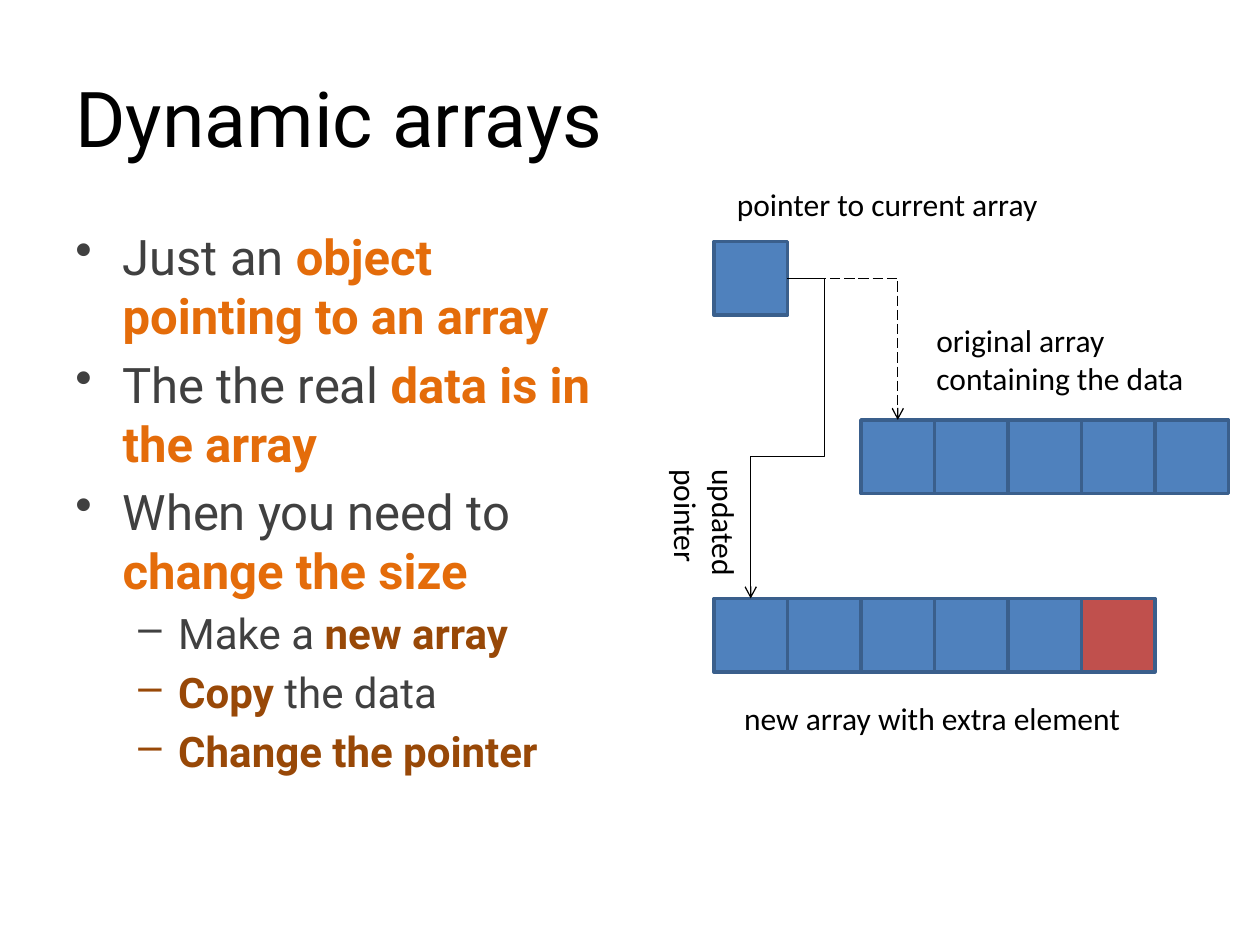
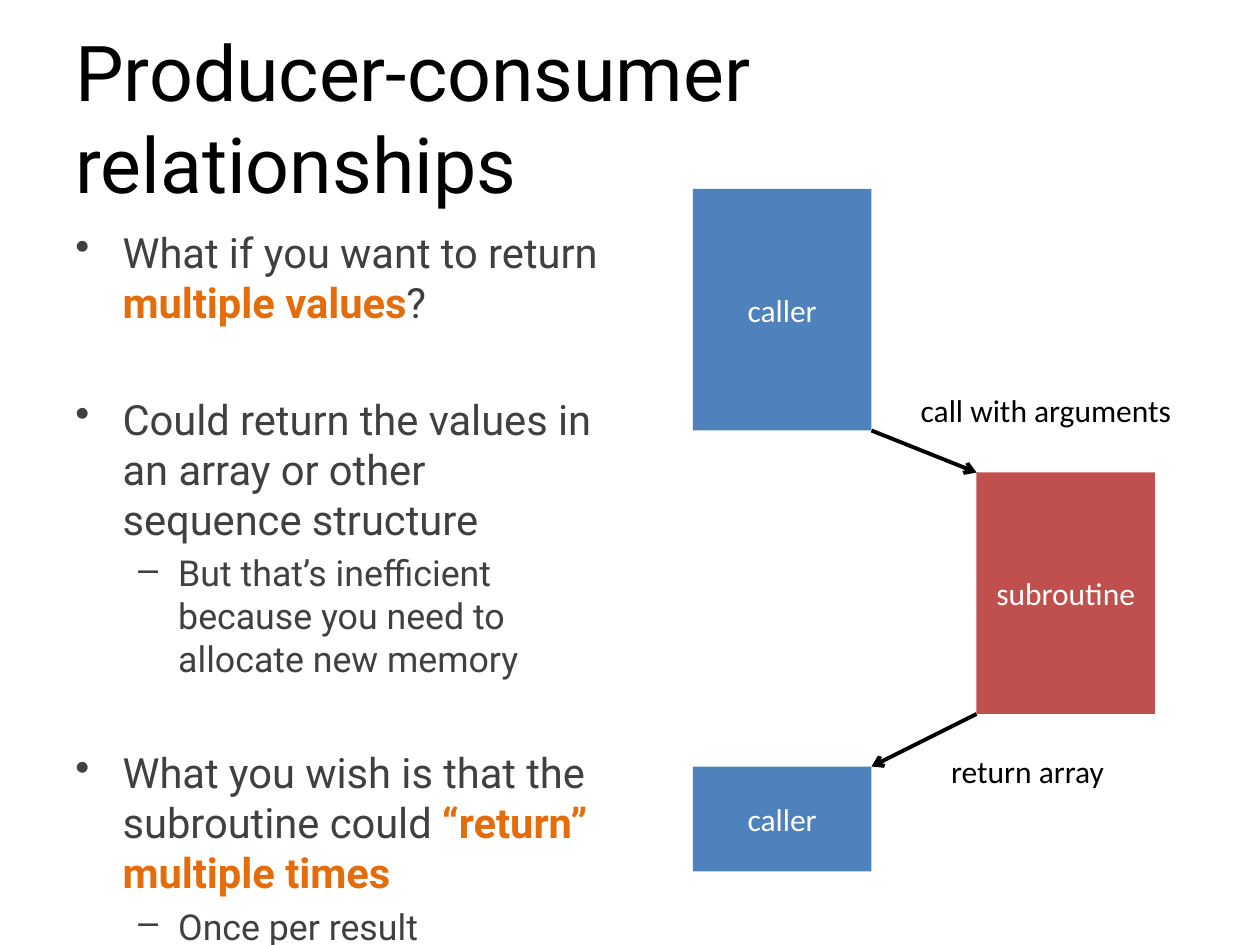
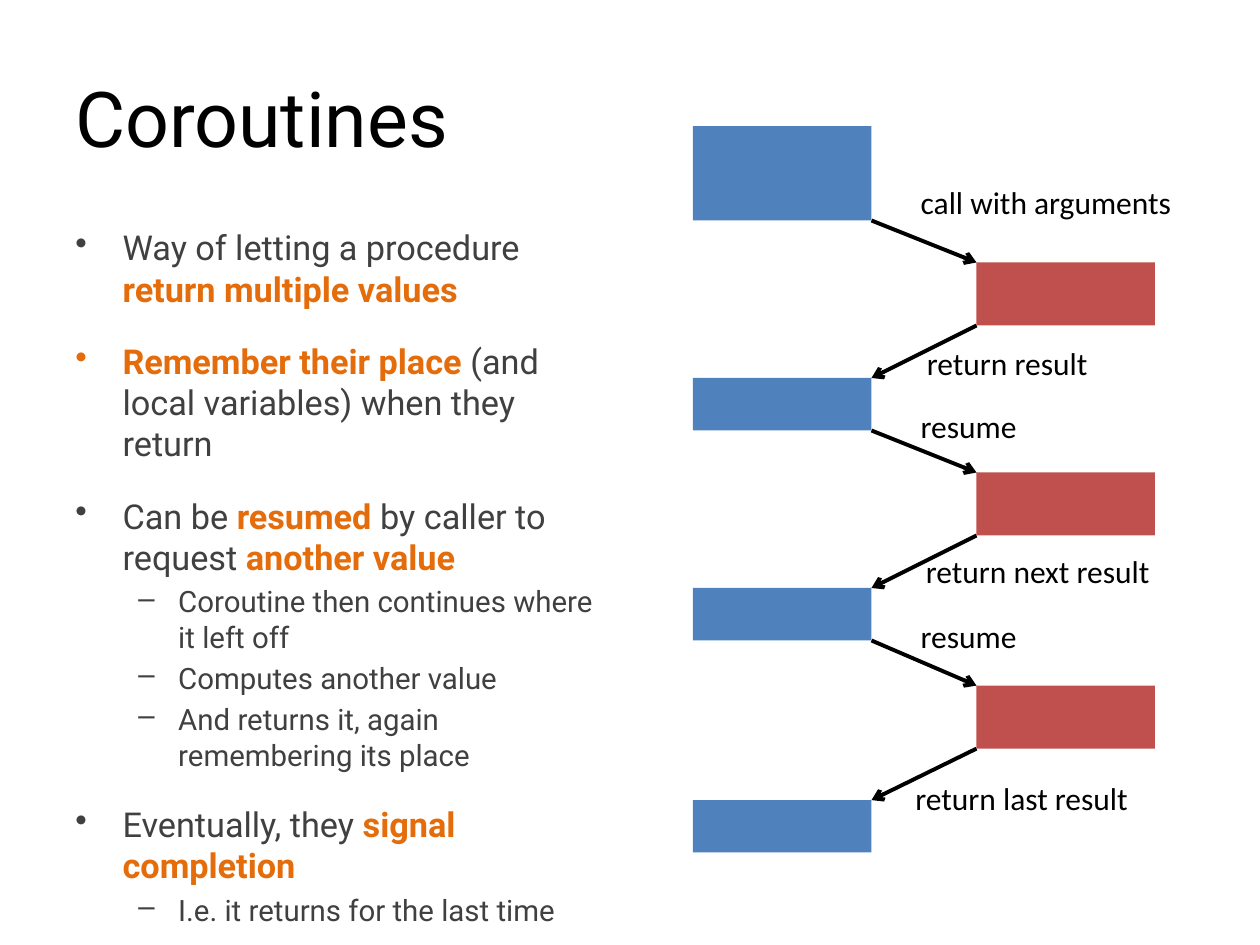
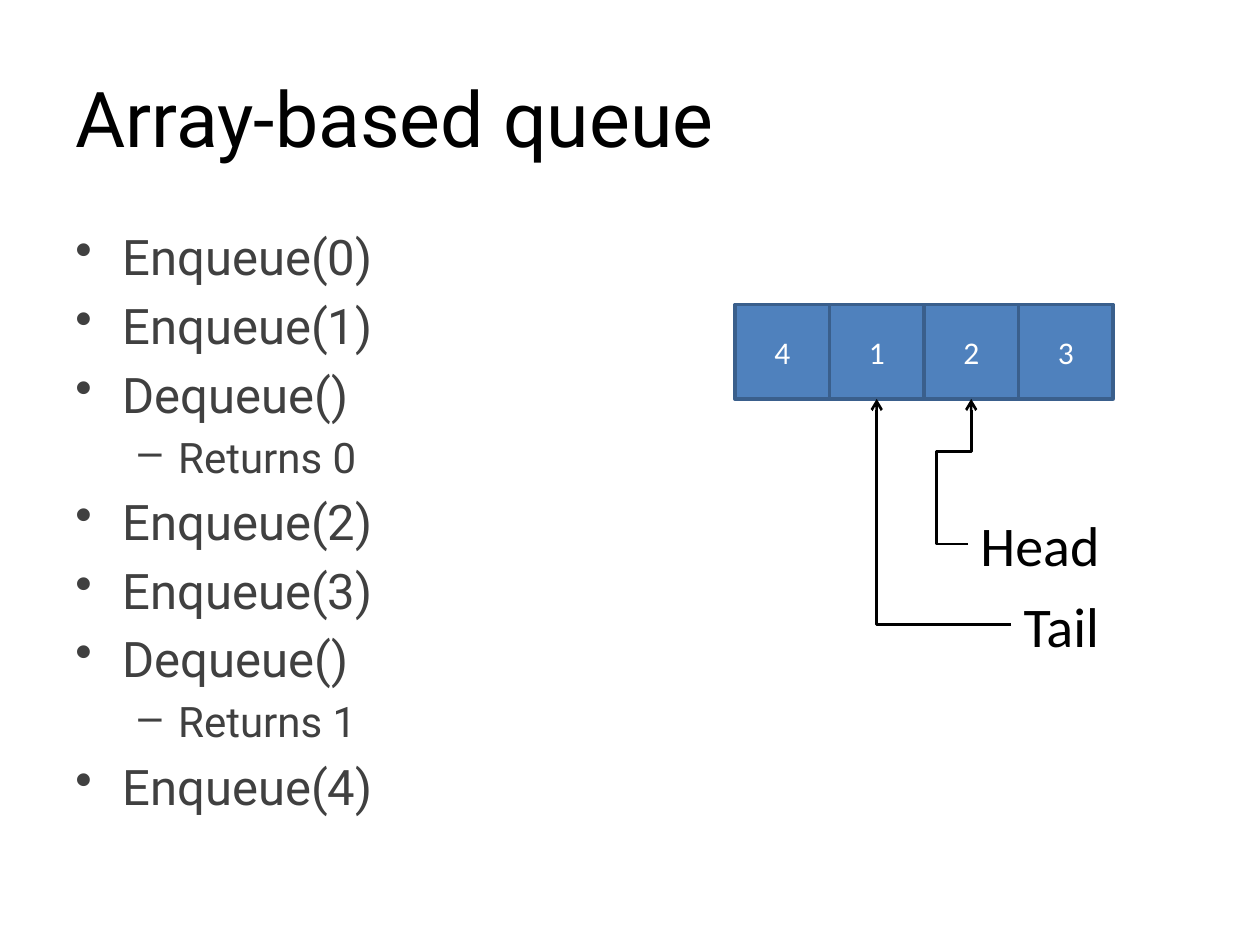
import pptx
import pptx.util
import pptx.dml.color
import pptx.enum.dml
import pptx.enum.shapes
import pptx.enum.text
import pptx.oxml
import pptx.oxml.ns
import lxml.etree

PX = 7620
HEADING_FONT = "Roboto"
DIAGRAM_FONT = "Calibri"
COLORS = {
    "black": "000000",
    "white": "FFFFFF",
    "text": "404040",
    "accent": "E46C0A",
    "deep": "984807",
    "blue": "4F81BD",
    "red": "C0504D",
    "edge": "3A5F8C",
}
LEVELS = [("•", 45, 45), ("–", 98, 38)]

deck = pptx.Presentation()
deck.slide_width = 1200 * PX
deck.slide_height = 900 * PX


def add_run(paragraph, text, size, font, color, bold=False):
    run = paragraph.add_run()
    run.text = text
    run.font.size = pptx.util.Pt(size)
    run.font.name = font
    run.font.bold = bold
    run.font.color.rgb = pptx.dml.color.RGBColor.from_string(COLORS[color])


def add_block(slide, x, y, width, height, color, text="", edged=False):
    block = slide.shapes.add_shape(
        pptx.enum.shapes.MSO_SHAPE.RECTANGLE, x * PX, y * PX, width * PX, height * PX)
    block.shadow.inherit = False
    block.fill.solid()
    block.fill.fore_color.rgb = pptx.dml.color.RGBColor.from_string(COLORS[color])
    if edged:
        block.line.color.rgb = pptx.dml.color.RGBColor.from_string(COLORS["edge"])
        block.line.width = pptx.util.Pt(2)
    else:
        block.line.fill.background()
    if text:
        frame = block.text_frame
        frame.vertical_anchor = pptx.enum.text.MSO_ANCHOR.MIDDLE
        frame.paragraphs[0].alignment = pptx.enum.text.PP_ALIGN.CENTER
        add_run(frame.paragraphs[0], text, 18, DIAGRAM_FONT, "white")


topics = [
    ("Dynamic arrays", (28, 24), [
        (0, None, [("Just an ", "text"), ("object pointing to an array", "accent")]),
        (0, None, [("The the real ", "text"), ("data is in the array", "accent")]),
        (0, None, [("When you need to ", "text"), ("change the size", "accent")]),
        (1, None, [("Make a ", "text"), ("new array", "deep")]),
        (1, None, [("Copy ", "deep"), ("the data", "text")]),
        (1, None, [("Change the pointer", "deep")]),
    ]),
    ("Producer-consumer relationships", (23.8, 20.4), [
        (0, None, [("What if you want to return ", "text"), ("multiple values", "accent"), ("?", "text")]),
        (0, 38.5, [("Could return the values in an array or other sequence structure", "text")]),
        (1, None, [("But that’s inefficient because you need to allocate new memory", "text")]),
        (0, 38.5, [("What you wish is that the subroutine could ", "text"),
                   ("“return” multiple times", "accent")]),
        (1, None, [("Once per result", "text")]),
    ]),
    ("Coroutines", (19.6, 16.8), [
        (0, None, [("Way of letting a procedure ", "text"), ("return multiple values", "accent")]),
        (0, 18, [("Remember their place", "accent"), (" (and local variables) when they return", "text")]),
        (0, 18, [("Can be ", "text"), ("resumed ", "accent"), ("by caller to request ", "text"),
                 ("another value", "accent")]),
        (1, None, [("Coroutine then continues where it left off", "text")]),
        (1, None, [("Computes another value", "text")]),
        (1, None, [("And returns it, again remembering its place", "text")]),
        (0, 18, [("Eventually, they ", "text"), ("signal completion", "accent")]),
        (1, None, [("I.e. it returns for the last time", "text")]),
    ]),
    ("Array-based queue", (28, 24), [
        (level, None, [(operation, "text")]) for level, operation in [
            (0, "Enqueue(0)"), (0, "Enqueue(1)"), (0, "Dequeue()"), (1, "Returns 0"),
            (0, "Enqueue(2)"), (0, "Enqueue(3)"), (0, "Dequeue()"), (1, "Returns 1"),
            (0, "Enqueue(4)")]
    ]),
]

slides = []
for heading, sizes, bullets in topics:
    slide = deck.slides.add_slide(deck.slide_layouts[6])
    slides.append(slide)
    title = slide.shapes.add_textbox(60 * PX, 36 * PX, 1080 * PX, 150 * PX).text_frame
    title.word_wrap = True
    title.vertical_anchor = pptx.enum.text.MSO_ANCHOR.MIDDLE
    add_run(title.paragraphs[0], heading, 44, HEADING_FONT, "black")

    body = slide.shapes.add_textbox(60 * PX, 210 * PX, 530 * PX, 594 * PX).text_frame
    body.word_wrap = True
    for index, (level, gap, runs) in enumerate(bullets):
        paragraph = body.add_paragraph() if index else body.paragraphs[0]
        mark, margin, hanging = LEVELS[level]
        properties = paragraph._p.get_or_add_pPr()
        properties.set("marL", str(margin * PX))
        properties.set("indent", str(-hanging * PX))
        lxml.etree.SubElement(properties, pptx.oxml.ns.qn("a:buChar")).set("char", mark)
        paragraph.level = level
        if index:
            paragraph.space_before = pptx.util.Pt(gap or round(sizes[level] * 0.2, 1))
        for text, color in runs:
            add_run(paragraph, text, sizes[level], HEADING_FONT, color, color != "text")

arrays, producer, coroutines, queue = slides

CELL = 70
array_rows = [
    (680, 230, ["blue"]),
    (820, 400, ["blue"] * 5),
    (680, 570, ["blue"] * 5 + ["red"]),
]
for left, top, cells in array_rows:
    for column, color in enumerate(cells):
        add_block(arrays, left + column * CELL, top, CELL, CELL, color, edged=True)

for column, value in enumerate(["4", "1", "2", "3"]):
    add_block(queue, 700 + column * 90, 290, 90, 90, "blue", value, edged=True)

links = [
    (arrays, [(750, 265), (855, 265), (855, 400)], 0.75, True),
    (arrays, [(750, 265), (785, 265), (785, 435), (715, 435), (715, 570)], 0.75, False),
    (queue, [(922, 518), (892, 518), (892, 430), (925, 430), (925, 380)], 1.5, False),
    (queue, [(963, 595), (835, 595), (835, 380)], 1.5, False),
]

call_chains = [
    (producer, [(180, 230, "caller"), (450, 230, "subroutine"), (730, 100, "caller")]),
    (coroutines, [(120, 90, ""), (250, 60, ""), (360, 50, ""), (450, 60, ""),
                  (560, 50, ""), (653, 60, ""), (762, 50, "")]),
]
BLOCK_WIDTH = 170
CALLER_RIGHT, CALLEE_LEFT = 830, 930
for slide, steps in call_chains:
    for step, (top, height, text) in enumerate(steps):
        is_callee = step % 2
        left = CALLEE_LEFT if is_callee else CALLER_RIGHT - BLOCK_WIDTH
        add_block(slide, left, top, BLOCK_WIDTH, height, "red" if is_callee else "blue", text)
        if step + 1 < len(steps):
            ends = (CALLEE_LEFT, CALLER_RIGHT) if is_callee else (CALLER_RIGHT, CALLEE_LEFT)
            links.append((slide, [(ends[0], top + height), (ends[1], steps[step + 1][0])], 2.25, False))

for slide, route, weight, dashed in links:
    (start_x, start_y), (end_x, end_y) = route[0], route[-1]
    straight = len(route) == 2
    kind = pptx.enum.shapes.MSO_CONNECTOR.STRAIGHT if straight else pptx.enum.shapes.MSO_CONNECTOR.ELBOW
    link = slide.shapes.add_connector(kind, start_x * PX, start_y * PX, end_x * PX, end_y * PX)
    link.line.color.rgb = pptx.dml.color.RGBColor.from_string(COLORS["black"])
    link.line.width = pptx.util.Pt(weight)
    if dashed:
        link.line.dash_style = pptx.enum.dml.MSO_LINE.LONG_DASH
    properties = link._element.spPr
    outline = link.line._get_or_add_ln()
    lxml.etree.SubElement(outline, pptx.oxml.ns.qn("a:tailEnd")).set("type", "arrow")
    lxml.etree.SubElement(properties, pptx.oxml.ns.qn("a:effectLst"))
    if not straight:
        geometry = properties.find(pptx.oxml.ns.qn("a:prstGeom"))
        geometry.set("prst", f"bentConnector{len(route) - 1}")
        if len(route) == 5:
            bends = [(route[1][0] - start_x) / (end_x - start_x),
                     (route[2][1] - start_y) / (end_y - start_y)]
            guides = geometry.find(pptx.oxml.ns.qn("a:avLst"))
            for number, bend in enumerate(bends, 1):
                guide = lxml.etree.SubElement(guides, pptx.oxml.ns.qn("a:gd"))
                guide.set("name", f"adj{number}")
                guide.set("fmla", f"val {round(bend * 100000)}")

labels = [
    (arrays, 880, 300, 263, 85, 18, 0, ["original array", "containing the data"]),
    (arrays, 690, 170, 314, 48, 18, 0, ["pointer to current array"]),
    (arrays, 697, 660, 386, 48, 18, 0, ["new array with extra element"]),
    (arrays, 608, 456, 127, 85, 18, 90, ["updated", "pointer"]),
    (producer, 865, 367, 265, 48, 18, 0, ["call with arguments"]),
    (producer, 894, 710, 172, 48, 18, 0, ["return array"]),
    (coroutines, 865, 168, 265, 48, 18, 0, ["call with arguments"]),
    (coroutines, 871, 322, 179, 48, 18, 0, ["return result"]),
    (coroutines, 865, 382, 116, 48, 18, 0, ["resume"]),
    (coroutines, 870, 520, 240, 48, 18, 0, ["return next result"]),
    (coroutines, 865, 582, 116, 48, 18, 0, ["resume"]),
    (coroutines, 860, 736, 229, 48, 18, 0, ["return last result"]),
    (queue, 922, 480, 139, 77, 32, 0, ["Head"]),
    (queue, 963, 557, 97, 77, 32, 0, ["Tail"]),
]
for slide, left, top, width, height, size, turn, lines in labels:
    label = slide.shapes.add_textbox(left * PX, top * PX, width * PX, height * PX)
    label.rotation = turn
    label.text_frame.word_wrap = False
    label.text_frame.auto_size = pptx.enum.text.MSO_AUTO_SIZE.SHAPE_TO_FIT_TEXT
    for index, line in enumerate(lines):
        paragraph = label.text_frame.add_paragraph() if index else label.text_frame.paragraphs[0]
        add_run(paragraph, line, size, DIAGRAM_FONT, "black")

deck.save("out.pptx")
